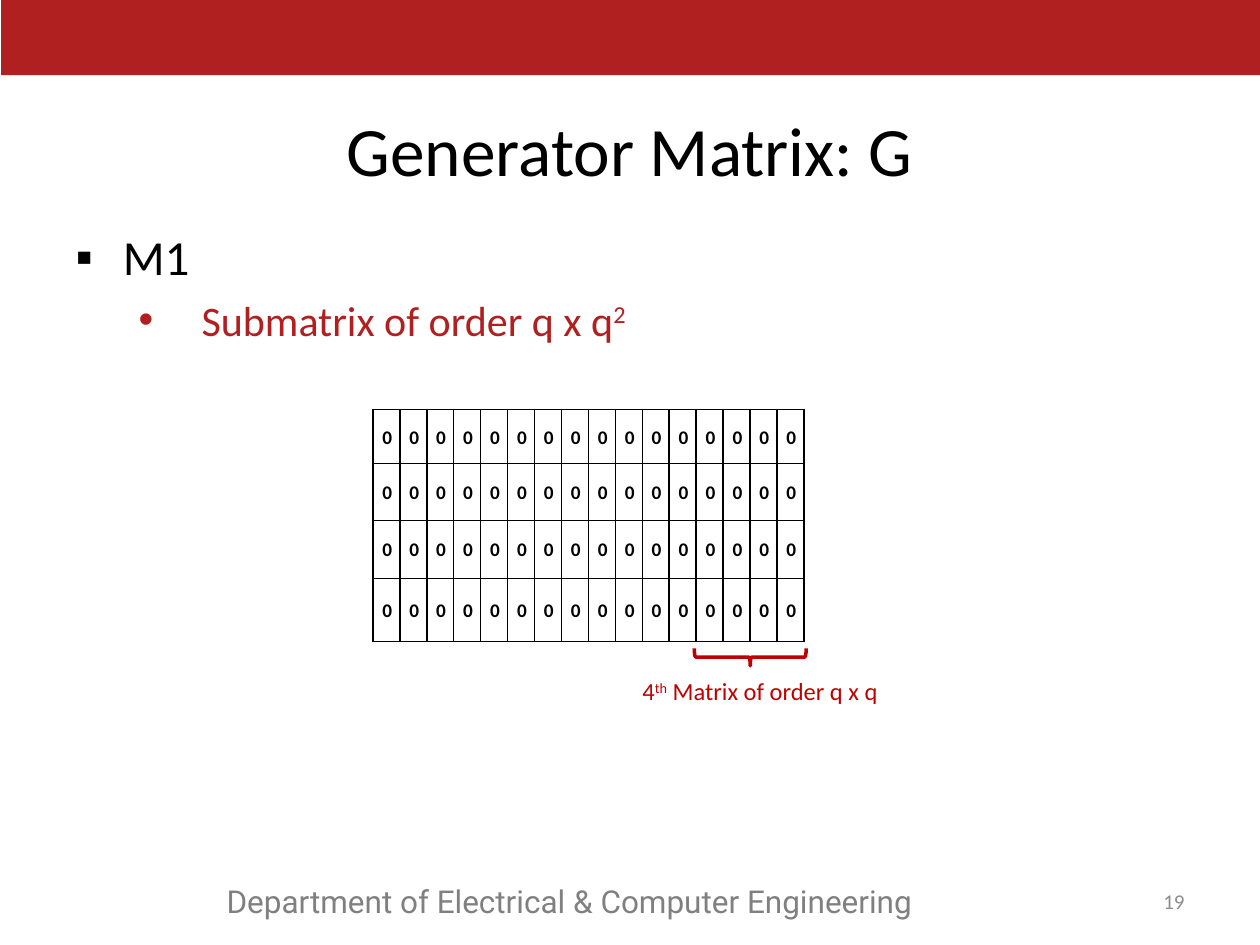
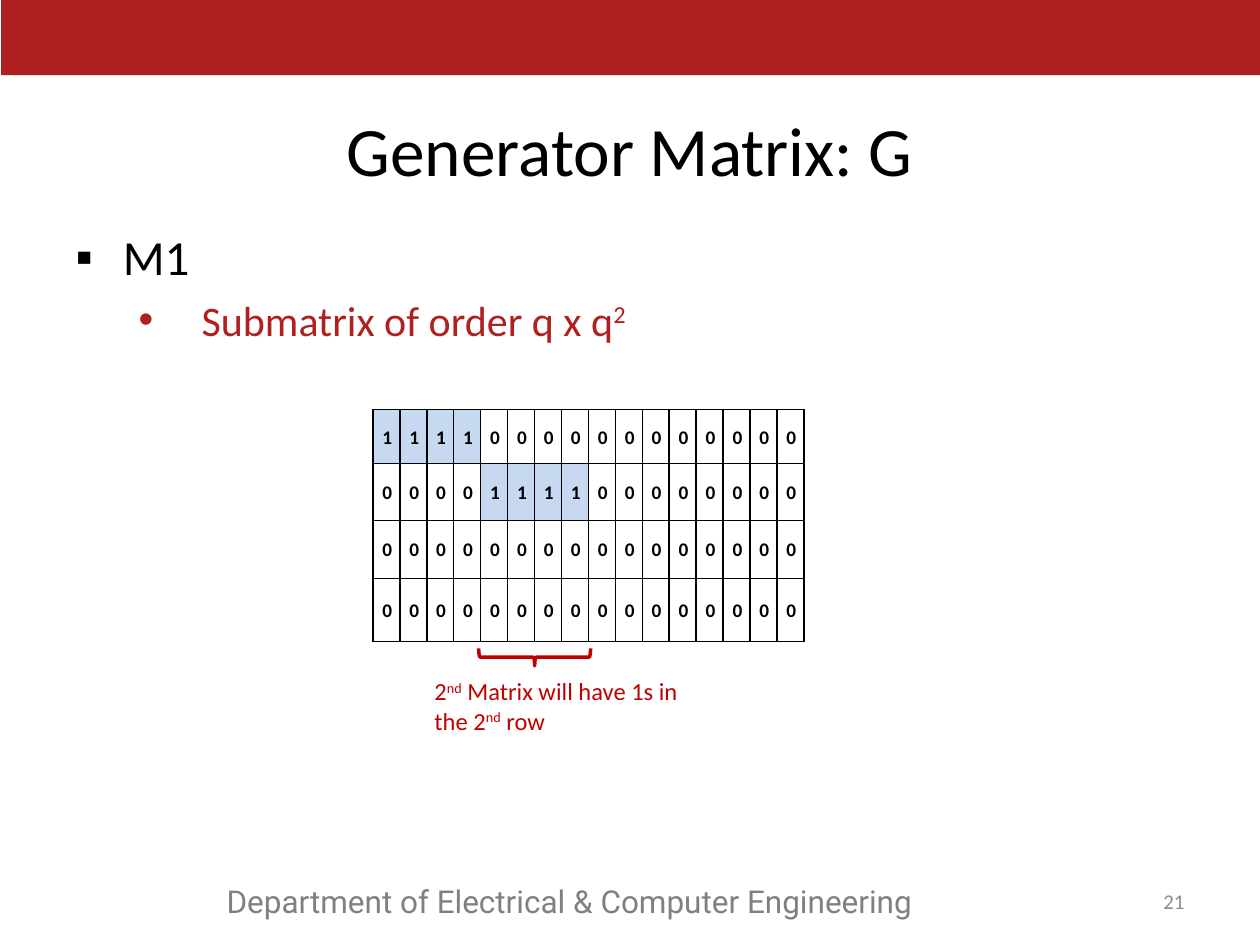
from lxml.etree import SubElement
from pptx import Presentation
from pptx.dml.color import RGBColor
from pptx.enum.shapes import MSO_SHAPE
from pptx.enum.text import MSO_ANCHOR, MSO_AUTO_SIZE, PP_ALIGN
from pptx.oxml.ns import qn
from pptx.util import Pt

COLORS = {
    "band": "B12020", "footer": "808080", "number": "8C8C8C",
    "text": "000000", "note": "C00000", "ones": "C6D9F1",
}

# Text formats
TITLE = {"size": Pt(39.6), "name": "Calibri", "color": "text"}
TOPIC = {"size": Pt(28), "name": "Calibri", "color": "text"}
DETAIL = {"size": Pt(24), "name": "Calibri", "color": "band"}
FOOTER = {"size": Pt(18), "name": "Roboto", "color": "footer"}
NUMBER = {"size": Pt(12), "name": "Calibri", "color": "number"}
DIGIT = {"size": Pt(11), "name": "Calibri", "bold": True, "color": "text"}
NOTE = {"size": Pt(14), "name": "Calibri", "color": "note"}

# Matrix geometry in points
Q = 4
TABLE_LEFT, TABLE_TOP = 213.1, 234
COL_WIDTH = 15.4
ROW_HEIGHTS = [31, 32.4, 33.2, 36]


def rgb(key):
    return RGBColor.from_string(COLORS[key])


def write(p, text, fmt, align=None):
    """Fill a paragraph; text between ^ marks is superscript."""
    p.alignment = align
    for i, part in enumerate(text.split("^")):
        if not part:
            continue
        r = p.add_run()
        r.text = part
        for key, value in fmt.items():
            if key == "color":
                r.font.color.rgb = rgb(value)
            else:
                setattr(r.font, key, value)
        if i % 2:
            r._r.get_or_add_rPr().set("baseline", "30000")


def place(sp, left, top, width, height):
    box = {"left": left, "top": top, "width": width, "height": height}
    for key, value in box.items():
        setattr(sp, key, Pt(value))


def add_text(s, box, text, fmt, align=None, anchor=MSO_ANCHOR.TOP):
    tf = s.shapes.add_textbox(*map(Pt, box)).text_frame
    tf.word_wrap = True
    tf.vertical_anchor = anchor
    write(tf.paragraphs[0], text, fmt, align)


def add_bullet(p, char, left, hanging):
    pPr = p._p.get_or_add_pPr()
    pPr.set("marL", str(Pt(left)))
    pPr.set("indent", str(-Pt(hanging)))
    SubElement(pPr, qn("a:buFont"), typeface="Arial")
    SubElement(pPr, qn("a:buChar"), char=char)


def add_band(s):
    sp = s.shapes.add_shape(MSO_SHAPE.RECTANGLE, Pt(0.72), 0, Pt(720), Pt(43))
    sp.shadow.inherit = False
    sp.fill.solid()
    sp.fill.fore_color.rgb = rgb("band")
    sp.line.fill.background()


def add_title(s, text):
    sp = s.shapes.title
    place(sp, 36, 58.3, 648, 53.3)
    tf = sp.text_frame
    tf.auto_size = MSO_AUTO_SIZE.NONE
    tf.vertical_anchor = MSO_ANCHOR.MIDDLE
    write(tf.paragraphs[0], text, TITLE, PP_ALIGN.CENTER)


def add_list(s, topic, detail):
    sp = s.placeholders[1]
    place(sp, 36, 126, 648, 356.4)
    tf = sp.text_frame
    tf.auto_size = MSO_AUTO_SIZE.NONE
    p = tf.paragraphs[0]
    write(p, topic, TOPIC)
    add_bullet(p, "▪", 27, 27)
    p = tf.add_paragraph()
    p.level = 1
    write(p, detail, DETAIL)
    add_bullet(p, "•", 72, 36)


def add_borders(cell):
    tcPr = cell._tc.get_or_add_tcPr()
    for side in ("lnL", "lnR", "lnT", "lnB"):
        ln = SubElement(tcPr, qn(f"a:{side}"), w=str(Pt(1)))
        fill = SubElement(ln, qn("a:solidFill"))
        SubElement(fill, qn("a:srgbClr"), val=COLORS["text"])


def format_cell(cell, digit):
    layout = {"margin_left": Pt(5.4), "margin_right": Pt(5.4), "margin_top": 0,
              "margin_bottom": 0, "vertical_anchor": MSO_ANCHOR.MIDDLE}
    for key, value in layout.items():
        setattr(cell, key, value)
    p = cell.text_frame.paragraphs[0]
    write(p, digit, DIGIT, PP_ALIGN.CENTER)
    p.line_spacing = 1.07
    add_borders(cell)
    if digit == "1":
        cell.fill.solid()
        cell.fill.fore_color.rgb = rgb("ones")
    else:
        cell.fill.background()


def add_matrix(s, filled_rows):
    """Row i holds ones in block i for the first filled_rows rows."""
    tbl = s.shapes.add_table(Q, Q * Q, Pt(TABLE_LEFT), Pt(TABLE_TOP),
                             Pt(COL_WIDTH * Q * Q), Pt(sum(ROW_HEIGHTS))).table
    tbl.first_row = tbl.horz_banding = False
    for col in tbl.columns:
        col.width = Pt(COL_WIDTH)
    for i, height in enumerate(ROW_HEIGHTS):
        tbl.rows[i].height = Pt(height)
        for j in range(Q * Q):
            one = i < filled_rows and j // Q == i
            format_cell(tbl.cell(i, j), "1" if one else "0")


def add_brace(s, block):
    """Brace below one q x q block, turned to point down."""
    center = TABLE_LEFT + COL_WIDTH * Q * (block + 0.5)
    width, height = 10, 64
    sp = s.shapes.add_shape(MSO_SHAPE.RIGHT_BRACE, Pt(center - width / 2),
                            Pt(375.5 - height / 2), Pt(width), Pt(height))
    sp.rotation = 90
    sp.shadow.inherit = False
    sp.fill.background()
    sp.line.color.rgb = rgb("note")
    sp.line.width = Pt(2)


def add_matrix_slide(prs, number, filled_rows, block, note, note_box):
    s = prs.slides.add_slide(prs.slide_layouts[1])
    add_band(s)
    add_title(s, "Generator Matrix: G")
    add_list(s, "M1", "Submatrix of order q x q^2^")
    add_matrix(s, filled_rows)
    add_brace(s, block)
    add_text(s, note_box, note, NOTE)
    # Footer
    add_text(s, (122.4, 500.4, 415.4, 29),
             "Department of Electrical & Computer Engineering", FOOTER)
    add_text(s, (641.5, 500.4, 42.5, 29), number, NUMBER,
             PP_ALIGN.RIGHT, MSO_ANCHOR.MIDDLE)


def main():
    prs = Presentation()
    prs.slide_width, prs.slide_height = Pt(720), Pt(540)
    add_matrix_slide(prs, "19", 0, 3, "4^th^ Matrix of order q x q",
                     (360, 383, 155.5, 24.5))
    add_matrix_slide(prs, "21", 2, 1,
                     "2^nd^ Matrix will have 1s in the 2^nd^ row",
                     (241.2, 383, 155.5, 41))
    prs.save("out.pptx")


if __name__ == "__main__":
    main()
